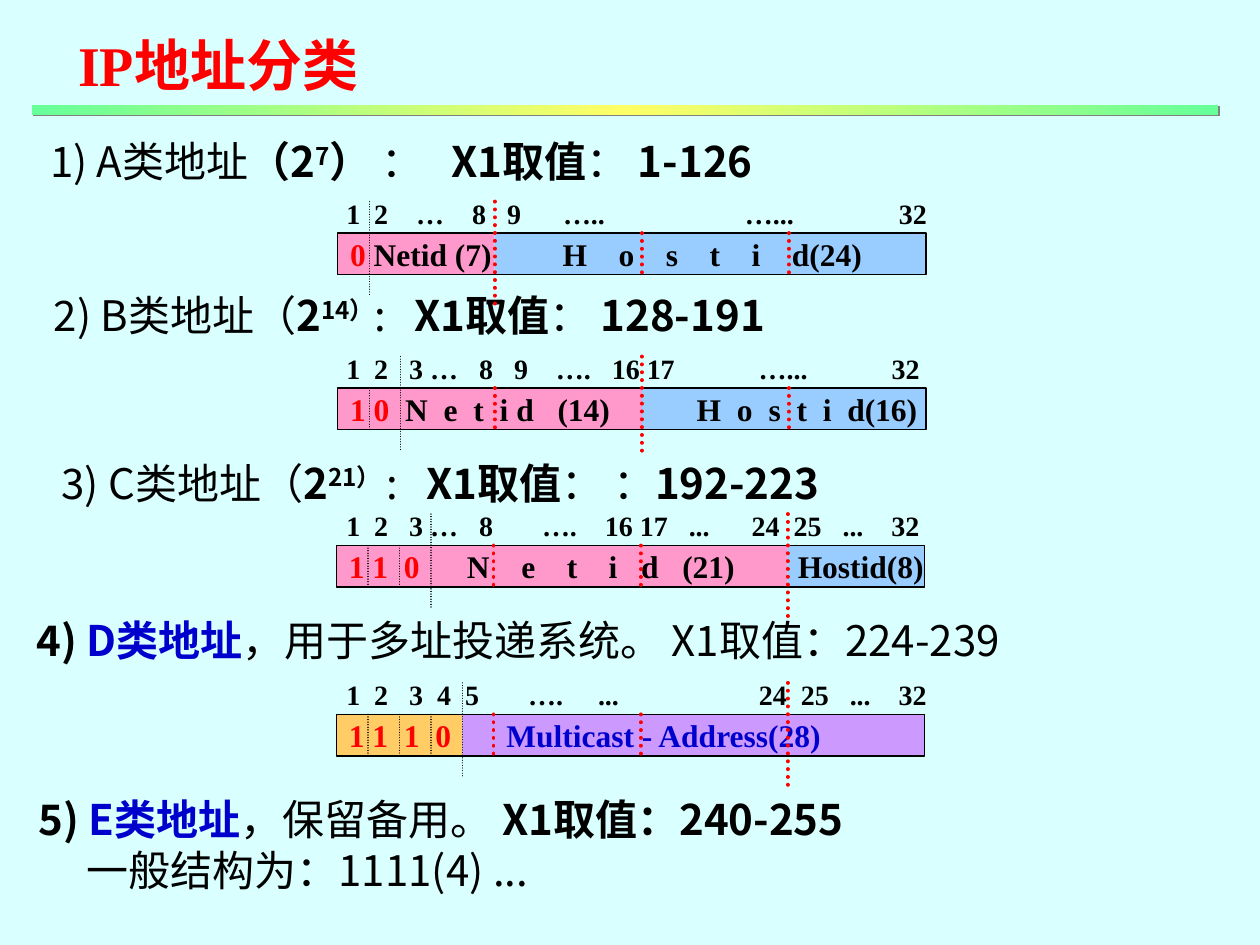
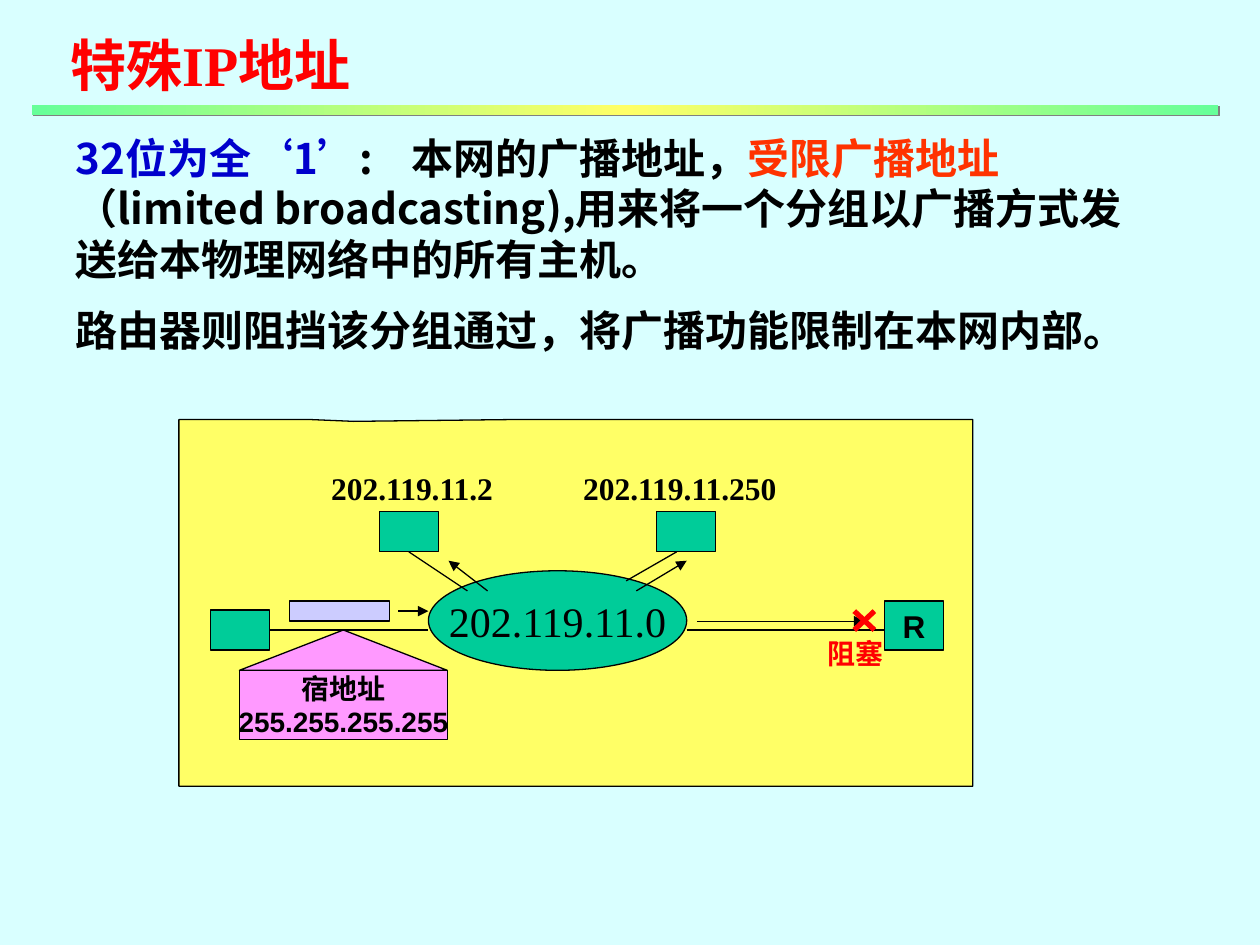
"""Builds two slides on the classes of IP addresses and on the limited broadcast address."""
from copy import deepcopy

from lxml.etree import SubElement
from pptx import Presentation
from pptx.dml.color import RGBColor
from pptx.enum.dml import MSO_LINE as Dash
from pptx.enum.shapes import MSO_CONNECTOR as Connector, MSO_SHAPE as Shape
from pptx.enum.text import MSO_ANCHOR as Anchor, MSO_AUTO_SIZE as AutoSize, PP_ALIGN as Align
from pptx.oxml.ns import qn
from pptx.util import Inches, Pt

SANS, SERIF, ARIAL = "Noto Sans CJK SC", "Times New Roman", "Arial"
SPACE_SHARE = {SANS: 0.224, SERIF: 0.25}
BLACK, RED, BLUE, ORANGE_RED = "000000", "FF0000", "0000CC", "FF3300"
PINK, SKY, AMBER, PURPLE = "FF99CC", "99CCFF", "FFCC66", "CC99FF"
GREEN, YELLOW, LILAC, MAGENTA = "00CC99", "FFFF66", "CCCCFF", "FF99FF"
BACKGROUND, BAND_END, SHADOW = "D9FFFF", "66FF99", "808080"
colour = RGBColor.from_string


def write(shape, paragraphs, size=24, font=SANS, color=BLACK, bold=False, align=Align.LEFT,
          anchor=Anchor.TOP, wrap=True, gap=0, later_indent=0):
    """Fill a shape with paragraphs of (text, changes) runs; a number is a widened space."""
    frame = shape.text_frame
    frame.word_wrap, frame.auto_size, frame.vertical_anchor = wrap, AutoSize.NONE, anchor
    for index, runs in enumerate(paragraphs):
        paragraph = frame.add_paragraph() if index else frame.paragraphs[0]
        paragraph.alignment = align
        paragraph.space_before = Pt(gap if index else 0)
        properties = paragraph._p.get_or_add_pPr()
        properties.set("marL", str(Inches(later_indent if index else 0)))
        properties.set("indent", "0")
        SubElement(properties, qn("a:buNone"))
        for text, changes in runs:
            look = dict(font=font, color=color, bold=bold) | changes
            run = paragraph.add_run()
            run.text = text if isinstance(text, str) else " "
            run.font.size, run.font.name, run.font.bold = Pt(size), look["font"], look["bold"]
            run.font.color.rgb = colour(look["color"])
            run_properties = run._r.get_or_add_rPr()
            SubElement(run_properties, qn("a:ea"), typeface=SANS)
            if "raised" in look:
                run_properties.set("baseline", "30000")
            if isinstance(text, int):
                spread = (text - 1) * size * SPACE_SHARE[look["font"]]
                run_properties.set("spc", str(round(spread * 100)))


def style(shape, fill=None, line=None, width=0.75):
    """Give a shape or connector its fill and line, without a shadow."""
    if line:
        shape.line.color.rgb = colour(line)
        shape.line.width = Pt(width)
    else:
        shape.line.fill.background()
    if not hasattr(shape, "fill"):
        SubElement(shape._element.spPr, qn("a:effectLst"))
        return shape
    shape.shadow.inherit = False
    if fill:
        shape.fill.solid()
        shape.fill.fore_color.rgb = colour(fill)
    else:
        shape.fill.background()
    return shape


presentation = Presentation()
presentation.slide_width, presentation.slide_height = Inches(10), Inches(7.5)
master_fill = presentation.slide_master.background.fill
master_fill.solid()
master_fill.fore_color.rgb = colour(BACKGROUND)

slides = []
for layout, title, left in ((5, "IP地址分类", 0.52), (1, "特殊IP地址", 0.46)):
    slide = presentation.slides.add_slide(presentation.slide_layouts[layout])
    slides.append(slide)
    heading = slide.shapes.title
    heading.left, heading.top = Inches(left), Inches(0.19)
    heading.width, heading.height = Inches(4), Inches(0.64)
    write(heading, [[(title, {})]], size=32, font=SERIF, color=RED, bold=True)
    band = style(slide.shapes.add_shape(
        Shape.RECTANGLE, Inches(0.25), Inches(0.83), Inches(9.42), Inches(0.08)))
    band.fill.gradient()
    band.fill.gradient_angle = 0
    stop_list = band._element.spPr.find(qn("a:gradFill")).find(qn("a:gsLst"))
    stop_list.append(deepcopy(stop_list[0]))
    for stop, position, shade in zip(
            band.fill.gradient_stops, (0, 0.5, 1), (BAND_END, YELLOW, BAND_END)):
        stop.position, stop.color.rgb = position, colour(shade)
    effects = band._element.spPr.find(qn("a:effectLst"))
    shadow = SubElement(effects, qn("a:outerShdw"), dist=str(Pt(1.4)), dir="2700000")
    SubElement(shadow, qn("a:srgbClr"), val=SHADOW)

classes_slide, broadcast_slide = slides
BOLD, PLAIN = {"bold": True}, {}
RAISED = {"bold": True, "raised": True}
BOLD_BLUE = {"bold": True, "color": BLUE}
headings = [
    (0.30, 1.03, [[("1) A类地址", PLAIN), ("（2", BOLD), ("7", RAISED), ("）", BOLD),
                   (" ：", PLAIN), (3, PLAIN), ("X1取值", BOLD), ("： ", PLAIN),
                   ("1-126", BOLD)]]),
    (0.33, 2.25, [[("2) B类地址（", PLAIN), ("2", BOLD), ("14）", RAISED), (":", PLAIN),
                   (3, PLAIN), ("X1取值", BOLD), ("： ", PLAIN), ("128-191", BOLD)]]),
    (0.39, 3.58, [[("3) C类地址（", PLAIN), ("2", BOLD), ("21） ", RAISED), (":", PLAIN),
                   (3, BOLD), ("X1取值", BOLD), ("： ：", PLAIN), ("192-223", BOLD)]]),
    (0.19, 4.83, [[("4) ", BOLD), ("D类地址", BOLD_BLUE),
                   ("，用于多址投递系统。 X1取值：224-239", PLAIN)]]),
    (0.21, 6.25, [[("5) ", BOLD), ("E类地址", BOLD_BLUE), ("，保留备用。 ", PLAIN),
                   ("X1取值：240-255", BOLD)], [("一般结构为：1111(4) ...", PLAIN)]]),
]
for left, top, paragraphs in headings:
    text_box = classes_slide.shapes.add_textbox(
        Inches(left), Inches(top), Inches(8.5), Inches(0.4 * len(paragraphs) + 0.1))
    write(text_box, paragraphs, later_indent=0.38)

BAR_WIDTH, BAR_HEIGHT, BIT, OCTET = 4.67, 0.33, 0.25, 1.167
OVERHANG, LABEL_LEFT = 0.25, 2.65
address_bars = [
    dict(left=2.68, top=1.85, prefix=1, split=1, reach=0.83, fills=(PINK, SKY), color=BLACK,
         fixed=["0"],
         cells=[1, "Netid (7)", 9, "H", 4, "o", 4, "s", 4, "t", 4, "i", 4, "d(24)"],
         labels=["1", 2, "2", 4, "…", 4, "8", 3, "9", 6, "…..", 20, "…...", 15, "32"]),
    dict(left=2.68, top=3.08, prefix=2, split=2, reach=0.75, fills=(PINK, SKY), color=BLACK,
         fixed=["1 0"],
         cells=[2, "N", 2, "e", 2, "t", 2, "i d", 3, "(14)", 11,
                "H", 2, "o", 2, "s", 2, "t", 2, "i", 2, "d(16)"],
         labels=["1", 2, "2", 3, "3 …", 3, "8", 3, "9", 4, "….", 3, "16 17", 12,
                 "…...", 12, "32"]),
    dict(left=2.67, top=4.33, prefix=3, split=3, reach=0.83, fills=(PINK, SKY), color=BLACK,
         fixed=["1 1", 2, "0"],
         cells=[6, "N", 4, "e", 4, "t", 4, "i", 3, "d", 3, "(21)", 8, "Hostid(8)"],
         labels=["1", 2, "2", 3, "3 …", 3, "8", 7, "….", 4, "16 17", 3, "...", 6, "24", 2,
                 "25", 3, "...", 4, "32"]),
    dict(left=2.67, top=5.67, prefix=4, split=3, reach=0.83, fills=(AMBER, PURPLE), color=BLUE,
         fixed=["1 1", 2, "1", 2, "0"],
         cells=[7, "Multicast - Address(28)"],
         labels=["1", 2, "2", 3, "3", 2, "4", 2, "5", 7, "….", 5, "...", 20, "24", 2,
                 "25", 3, "...", 4, "32"]),
]
for bar in address_bars:
    left, top = bar["left"], bar["top"]
    octet_start = left + 0.08
    bit_end = left + BIT * bar["prefix"]
    fill_end = bit_end if bar["fills"][0] == AMBER else octet_start + OCTET * bar["split"]
    for start, end, fill in ((left, fill_end, bar["fills"][0]),
                             (fill_end, left + BAR_WIDTH, bar["fills"][1])):
        style(classes_slide.shapes.add_shape(
            Shape.RECTANGLE, Inches(start), Inches(top), Inches(end - start),
            Inches(BAR_HEIGHT)), fill)
    outline = style(classes_slide.shapes.add_shape(
        Shape.RECTANGLE, Inches(left), Inches(top), Inches(BAR_WIDTH), Inches(BAR_HEIGHT)),
        line=BLACK)
    write(outline, [[(text, {"color": RED}) for text in bar["fixed"]]
                    + [(text, {}) for text in bar["cells"]]],
          size=18, font=SERIF, color=bar["color"], bold=True, anchor=Anchor.MIDDLE, wrap=False)

    dividers = [(octet_start + OCTET * octet, octet == bar["split"], bar["reach"], RED, 2.25)
                for octet in range(1, 4)]
    dividers += [(left + BIT * bit, bit == bar["prefix"], 0.75, BLACK, 0.75)
                 for bit in range(1, bar["prefix"] + 1)]
    for x, tall, reach, shade, width in dividers:
        start = top - OVERHANG if tall else top
        divider = style(classes_slide.shapes.add_connector(
            Connector.STRAIGHT, Inches(x), Inches(start), Inches(x),
            Inches(start + (reach if tall else BAR_HEIGHT))), line=shade, width=width)
        divider.line.dash_style = Dash.ROUND_DOT
        divider.line._get_or_add_ln().set("cap", "rnd")

    label_box = classes_slide.shapes.add_textbox(
        Inches(LABEL_LEFT), Inches(top - 0.34), Inches(5), Inches(0.37))
    write(label_box, [[(text, {}) for text in bar["labels"]]], size=16, font=SERIF, bold=True)

body = broadcast_slide.placeholders[1]
body.left, body.top, body.width, body.height = Inches(0.5), Inches(1), Inches(8.67), Inches(1.87)
write(body, [
    [("32位为全", {"color": BLUE}), ("‘", {"color": BLUE, "font": SERIF}), ("1", {"color": BLUE}),
     ("’", {"color": BLUE, "font": SERIF}), (":", {}), (4, {}), ("本网的广播地址，", {}),
     ("受限广播地址", {"color": ORANGE_RED}),
     ("（limited broadcasting),用来将一个分组以广播方式发送给本物理网络中的所有主机。", {})],
    [("路由器则阻挡该分组通过，将广播功能限制在本网内部。", {})],
], bold=True, gap=12)

network_shapes = [
    ("area", Shape.RECTANGULAR_CALLOUT, 1.42, 3.33, 6.3, 2.91, YELLOW, [], {}),
    ("network", Shape.OVAL, 3.4, 4.53, 2.05, 0.79, GREEN, ["202.119.11.0"], dict(font=SERIF)),
    ("upper host", Shape.RECTANGLE, 3.01, 4.06, 0.47, 0.32, GREEN, [], {}),
    ("far host", Shape.RECTANGLE, 5.21, 4.06, 0.47, 0.32, GREEN, [], {}),
    ("sender", Shape.RECTANGLE, 1.67, 4.84, 0.47, 0.32, GREEN, [], {}),
    ("router", Shape.RECTANGLE, 7.02, 4.77, 0.47, 0.39, GREEN, ["R"],
     dict(size=18, font=ARIAL, bold=True)),
    ("packet", Shape.RECTANGLE, 2.3, 4.77, 0.79, 0.16, LILAC, [], {}),
    ("pointer", Shape.FLOWCHART_EXTRACT, 1.9, 5, 1.65, 0.32, MAGENTA, [], {}),
    ("address", Shape.RECTANGLE, 1.9, 5.32, 1.65, 0.55, MAGENTA, ["宿地址", "255.255.255.255"],
     dict(size=16, font=ARIAL, bold=True)),
]
nodes = {}
for name, kind, left, top, width, height, fill, lines, look in network_shapes:
    nodes[name] = style(broadcast_slide.shapes.add_shape(
        kind, Inches(left), Inches(top), Inches(width), Inches(height)), fill, BLACK)
    if lines:
        write(nodes[name], [[(line, {})] for line in lines], align=Align.CENTER,
              anchor=Anchor.MIDDLE, wrap=False, **look)
nodes["area"].adjustments[0], nodes["area"].adjustments[1] = -0.28, -0.495

links = [
    (3.24, 4.38, 3.71, 4.69, BLACK, False, ("upper host", 2)),
    (4.97, 4.61, 5.37, 4.38, BLACK, False, None),
    (5.45, 5, 7.02, 5, BLACK, False, None),
    (2.14, 5, 3.4, 5, BLACK, False, ("sender", 3)),
    (3.16, 4.85, 3.4, 4.85, BLACK, True, None),
    (5.05, 4.69, 5.45, 4.45, BLACK, True, None),
    (3.87, 4.69, 3.56, 4.45, BLACK, True, None),
    (5.53, 4.93, 6.86, 4.93, BLACK, True, None),
    (6.94, 4.85, 6.78, 5, RED, False, None),
    (6.78, 4.85, 6.94, 5, RED, False, None),
]
for start_x, start_y, end_x, end_y, shade, arrow, joint in links:
    link = style(broadcast_slide.shapes.add_connector(
        Connector.STRAIGHT, Inches(start_x), Inches(start_y), Inches(end_x), Inches(end_y)),
        line=shade, width=3 if shade == RED else 0.75)
    if arrow:
        SubElement(link.line._get_or_add_ln(), qn("a:tailEnd"), type="triangle")
    if joint:
        link.begin_connect(nodes[joint[0]], joint[1])

for text, left, top, width, look in (
        ("202.119.11.2", 2.53, 3.67, 1.51, dict(size=18, font=SERIF)),
        ("202.119.11.250", 4.53, 3.67, 1.76, dict(size=18, font=SERIF)),
        ("阻塞", 6.47, 5, 0.64, dict(size=16, font=ARIAL, color=RED))):
    caption = broadcast_slide.shapes.add_textbox(
        Inches(left), Inches(top), Inches(width), Inches(0.4))
    write(caption, [[(text, {})]], bold=True, wrap=False, **look)

presentation.save("out.pptx")
